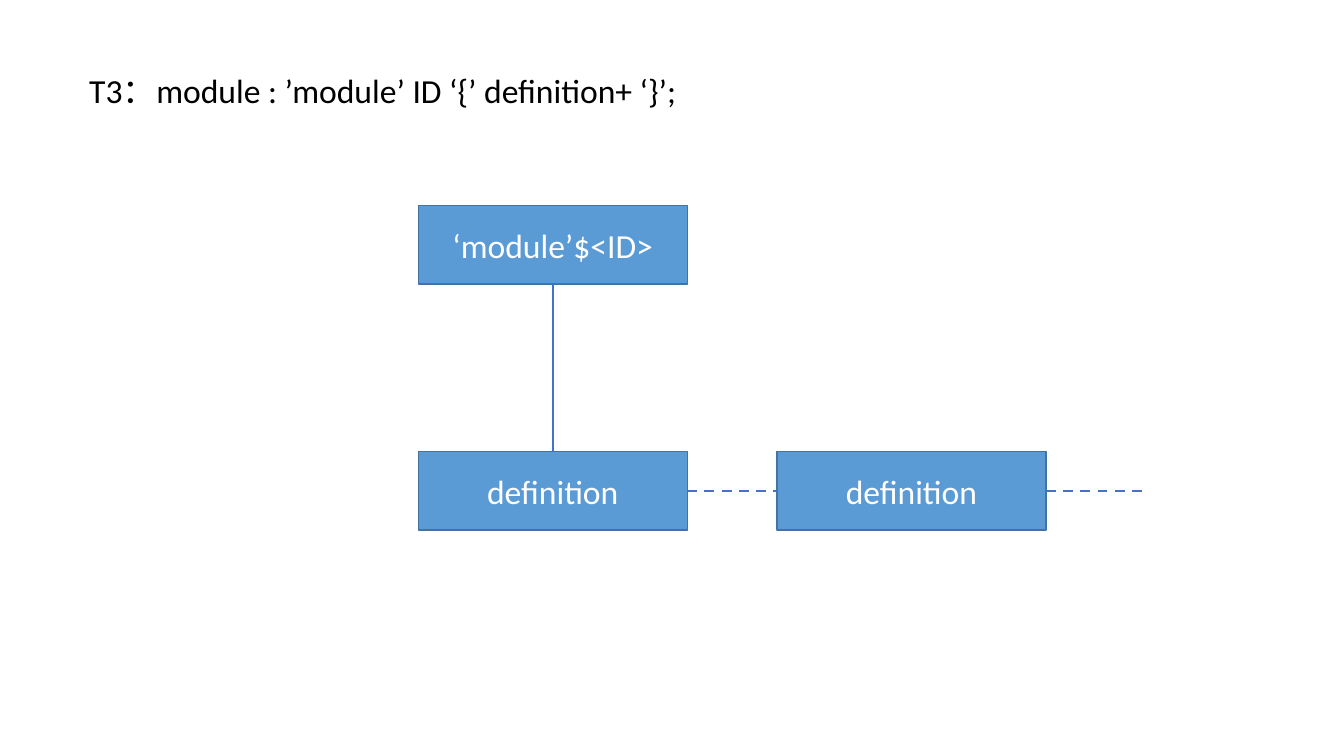
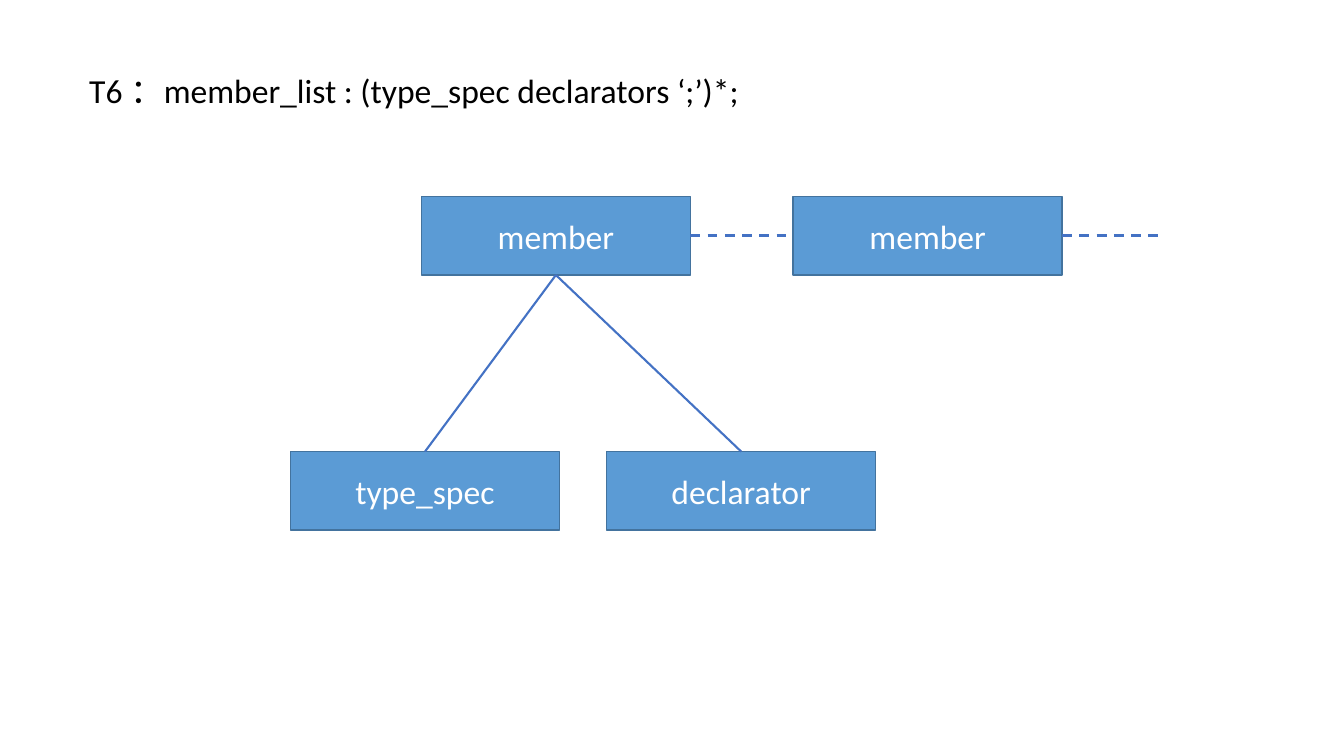
from dataclasses import dataclass

from lxml.etree import SubElement
from pptx import Presentation
from pptx.dml.color import RGBColor
from pptx.enum.dml import MSO_LINE
from pptx.enum.shapes import MSO_CONNECTOR, MSO_SHAPE
from pptx.enum.text import MSO_ANCHOR, MSO_AUTO_SIZE, PP_ALIGN
from pptx.oxml.ns import qn
from pptx.util import Cm, Pt


@dataclass(frozen=True)
class Theme:
    font: str = "Calibri"
    text_size: Pt = Pt(24)
    rule_color: RGBColor = RGBColor(0x00, 0x00, 0x00)
    node_text: RGBColor = RGBColor(0xFF, 0xFF, 0xFF)
    node_fill: RGBColor = RGBColor(0x5B, 0x9B, 0xD5)
    node_border: RGBColor = RGBColor(0x43, 0x73, 0x9E)
    link_color: RGBColor = RGBColor(0x44, 0x72, 0xC4)
    border_width: Pt = Pt(1)
    child_width: Pt = Pt(1.5)
    sibling_width: Pt = Pt(1.75)


THEME = Theme()
NODE_WIDTH, NODE_HEIGHT = Cm(6.78), Cm(1.98)
LOWER_ROW = Cm(11.38)
TRAIL_LENGTH = Cm(2.43)
TOP, LEFT, BOTTOM, RIGHT = range(4)


def set_text(shape, text, color):
    shape.text_frame.text = text
    font = shape.text_frame.paragraphs[0].runs[0].font
    font.name = THEME.font
    font.size = THEME.text_size
    font.color.rgb = color


def add_rule_slide(presentation, rule, rule_width):
    """Add a blank slide headed by a grammar rule."""
    slide = presentation.slides.add_slide(presentation.slide_layouts[6])
    box = slide.shapes.add_textbox(Cm(2), Cm(1.63), rule_width, Cm(1.28))
    set_text(box, rule, THEME.rule_color)
    box.text_frame.word_wrap = False
    box.text_frame.auto_size = MSO_AUTO_SIZE.SHAPE_TO_FIT_TEXT
    return slide


def add_node(slide, text, left, top):
    node = slide.shapes.add_shape(MSO_SHAPE.RECTANGLE, left, top, NODE_WIDTH, NODE_HEIGHT)
    node.shadow.inherit = False
    node.fill.solid()
    node.fill.fore_color.rgb = THEME.node_fill
    node.line.color.rgb = THEME.node_border
    node.line.width = THEME.border_width
    set_text(node, text, THEME.node_text)
    node.text_frame.vertical_anchor = MSO_ANCHOR.MIDDLE
    node.text_frame.paragraphs[0].alignment = PP_ALIGN.CENTER
    return node


def add_link(slide, node, side, width, end=(0, 0)):
    """Draw a line from the middle of a node's side to a point."""
    link = slide.shapes.add_connector(MSO_CONNECTOR.STRAIGHT, 0, 0, *end)
    link.begin_connect(node, side)
    link.line.color.rgb = THEME.link_color
    link.line.width = width
    SubElement(link._element.spPr, qn("a:effectLst"))
    return link


def link_child(slide, parent, child):
    add_link(slide, parent, BOTTOM, THEME.child_width).end_connect(child, TOP)


def link_siblings(slide, first, second):
    """Join two siblings by a dashed line and let it trail off to the right."""
    between = add_link(slide, first, RIGHT, THEME.sibling_width)
    between.end_connect(second, LEFT)
    trail_end = (second.left + second.width + TRAIL_LENGTH, second.top + second.height // 2)
    trail = add_link(slide, second, RIGHT, THEME.sibling_width, trail_end)
    for link in (between, trail):
        link.line.dash_style = MSO_LINE.DASH


def add_module_slide(presentation):
    slide = add_rule_slide(presentation, "T3：module : ’module’ ID ‘{’ definition+ ‘}’;", Cm(16.54))
    module = add_node(slide, "‘module’$<ID>", Cm(10.54), Cm(5.18))
    first = add_node(slide, "definition", module.left, LOWER_ROW)
    second = add_node(slide, "definition", Cm(19.58), LOWER_ROW)
    link_child(slide, module, first)
    link_siblings(slide, first, second)


def add_member_slide(presentation):
    slide = add_rule_slide(presentation, "T6 ：member_list : (type_spec declarators ‘;’)*;", Cm(17.75))
    first = add_node(slide, "member", Cm(10.62), Cm(4.95))
    second = add_node(slide, "member", Cm(19.99), first.top)
    link_siblings(slide, first, second)
    for text, left in (("type_spec", Cm(7.32)), ("declarator", Cm(15.29))):
        link_child(slide, first, add_node(slide, text, left, LOWER_ROW))


def main():
    presentation = Presentation()
    presentation.slide_width = Cm(33.87)
    presentation.slide_height = Cm(19.05)
    add_module_slide(presentation)
    add_member_slide(presentation)
    presentation.save("out.pptx")


if __name__ == "__main__":
    main()
